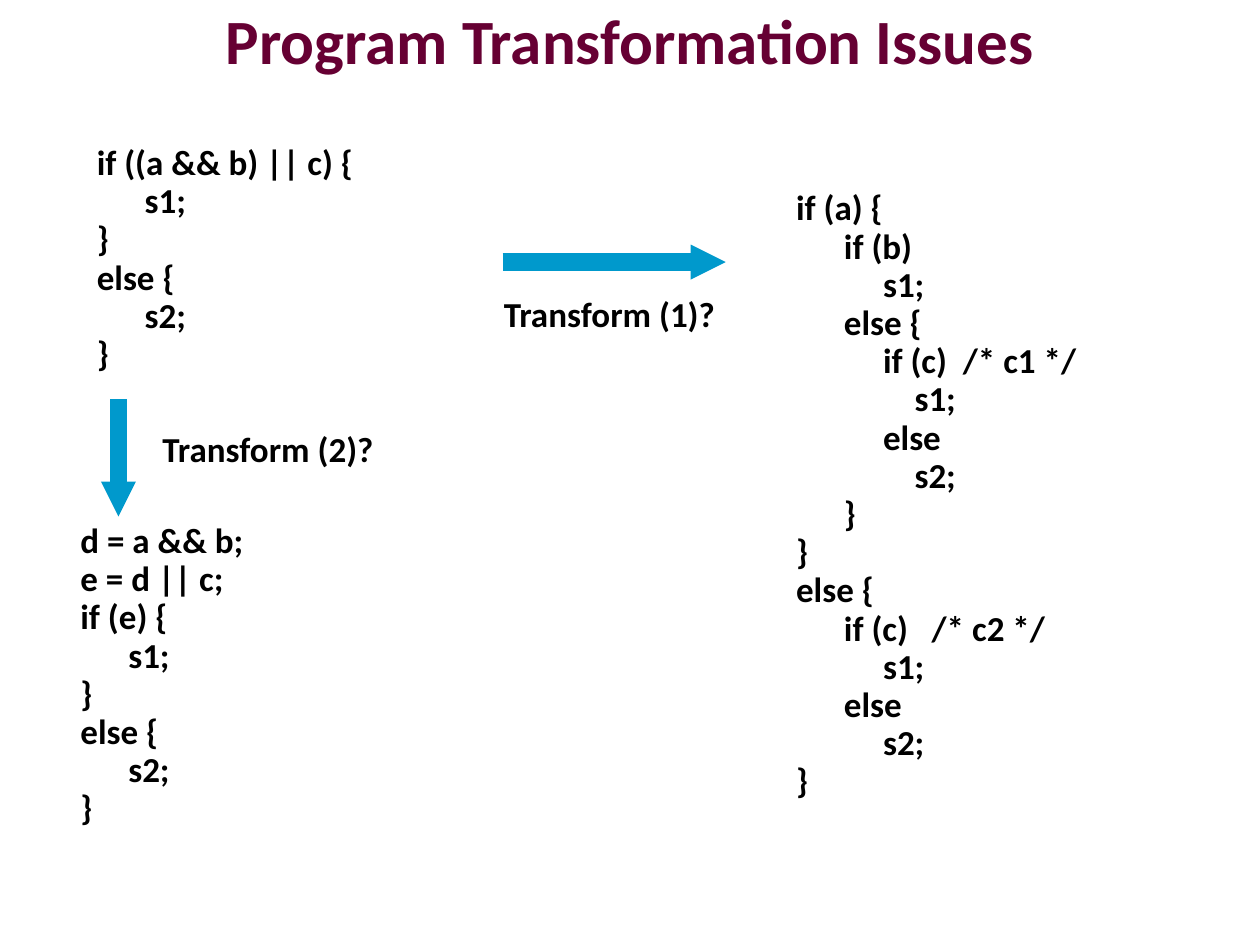
from lxml.etree import SubElement
from pptx import Presentation
from pptx.dml.color import RGBColor
from pptx.enum.shapes import MSO_CONNECTOR
from pptx.enum.text import MSO_ANCHOR, PP_ALIGN
from pptx.oxml.ns import qn
from pptx.util import Inches, Pt

SLIDE_SIZE = (10, 7.5)
FONT = "Calibri"
TITLE = "Program Transformation Issues"
TITLE_FRAME = (0.75, 0.08, 8.5, 0.46)
INDENTS = (0, 0.38, 0.69, 0.94)  # inches for each nesting level
LOW, HIGH = 0.06, 0.53  # space above the first line of a block

# Frame, space above, lines as (nesting level, text)
BLOCKS = [
    ((0.67, 0.73, 3.03, 2.31), HIGH, [
        (0, "if ((a && b) || c) {"),
        (1, "s1;"),
        (0, "}"),
        (0, "else {"),
        (1, "s2;"),
        (0, "}"),
    ]),
    ((6.22, 1.09, 3.03, 5.68), HIGH, [
        (0, "if (a) {"),
        (1, "if (b)"),
        (2, "s1;"),
        (1, "else {"),
        (2, "if (c)  /* c1 */"),
        (3, "s1;"),
        (2, "else"),
        (3, "s2;"),
        (1, "}"),
        (0, "}"),
        (0, "else {"),
        (1, "if (c)   /* c2 */"),
        (2, "s1;"),
        (1, "else"),
        (2, "s2;"),
        (0, "}"),
    ]),
    ((3.9, 1.94, 2.16, 0.64), HIGH, [(0, "Transform (1)?")]),
    ((1.19, 3.48, 2.27, 0.3), LOW, [(0, "Transform (2)?")]),
    ((0.54, 4.2, 3.03, 2.65), LOW, [
        (0, "d = a && b;"),
        (0, "e = d || c;"),
        (0, "if (e) {"),
        (1, "s1;"),
        (0, "}"),
        (0, "else {"),
        (1, "s2;"),
        (0, "}"),
    ]),
]
ARROWS = [(3.99, 2.08, 5.76, 2.08), (0.94, 3.17, 0.94, 4.1)]


def rgb(color):
    return RGBColor.from_string(color)


def add_frame(slide, frame, **settings):
    text_frame = slide.shapes.add_textbox(*map(Inches, frame)).text_frame
    text_frame.word_wrap = True
    for name, value in settings.items():
        setattr(text_frame, name, value)
    return text_frame


def write(paragraph, text, size, color, **settings):
    run = paragraph.add_run()
    run.text = text
    for name, value in {"name": FONT, "size": Pt(size), "bold": True}.items():
        setattr(run.font, name, value)
    run.font.color.rgb = rgb(color)
    for name, value in settings.items():
        setattr(paragraph, name, value)


def add_block(slide, frame, space_above, lines):
    text_frame = add_frame(slide, frame, margin_top=Inches(space_above))
    for number, (level, text) in enumerate(lines):
        paragraph = text_frame.add_paragraph() if number else text_frame.paragraphs[0]
        write(paragraph, text, 20, "000000", line_spacing=0.5,
              space_before=Pt(9.8 if number else 0))
        paragraph._p.get_or_add_pPr().set("marL", str(Inches(INDENTS[level])))


def add_arrow(slide, ends):
    arrow = slide.shapes.add_connector(MSO_CONNECTOR.STRAIGHT, *map(Inches, ends))
    arrow.line.color.rgb = rgb("0099CC")
    arrow.line.width = Pt(10)
    SubElement(arrow.line._get_or_add_ln(), qn("a:tailEnd"),
               type="triangle", w="sm", len="sm")
    SubElement(arrow._element.spPr, qn("a:effectLst"))


def main():
    presentation = Presentation()
    presentation.slide_width, presentation.slide_height = map(Inches, SLIDE_SIZE)
    slide = presentation.slides.add_slide(presentation.slide_layouts[6])
    title = add_frame(slide, TITLE_FRAME, vertical_anchor=MSO_ANCHOR.MIDDLE)
    write(title.paragraphs[0], TITLE, 36, "660033", alignment=PP_ALIGN.CENTER)
    for block in BLOCKS:
        add_block(slide, *block)
    for ends in ARROWS:
        add_arrow(slide, ends)
    presentation.save("out.pptx")


if __name__ == "__main__":
    main()
